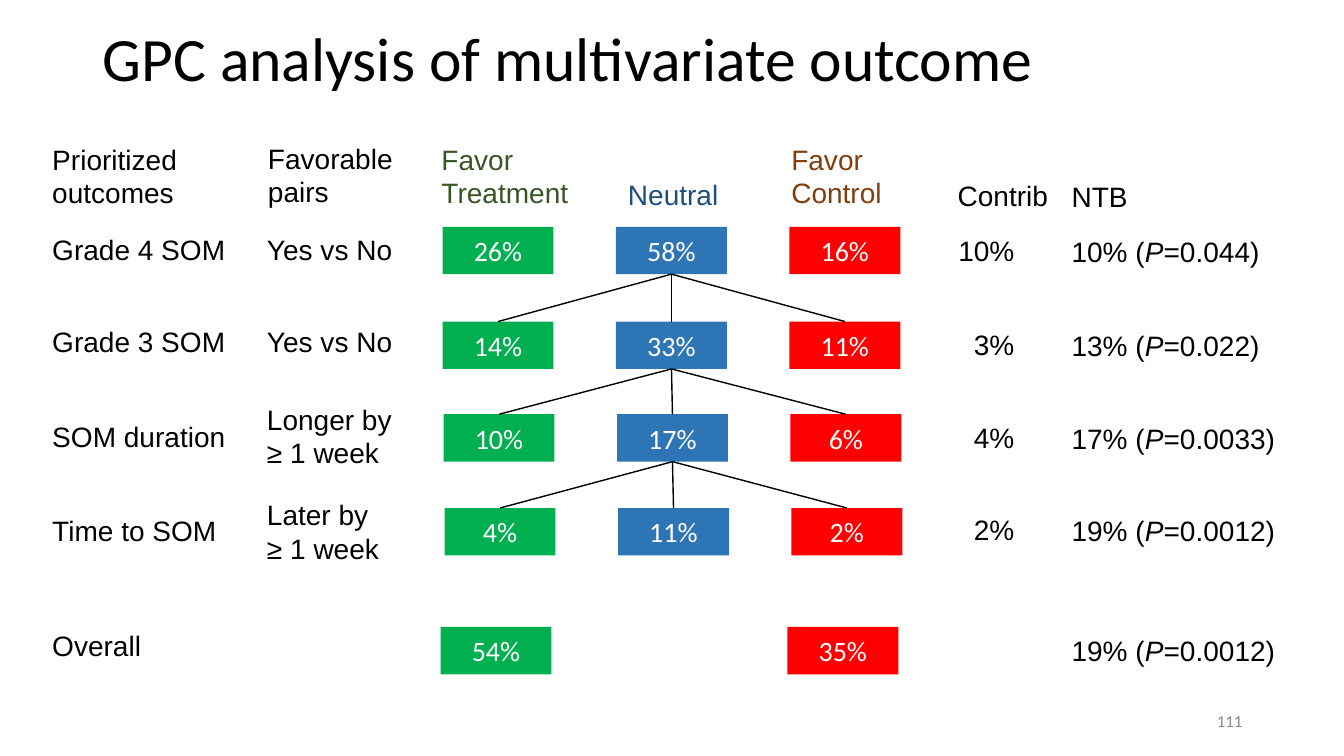
import pptx
import pptx.util
import pptx.dml.color
import pptx.enum.shapes
import pptx.enum.text
import pptx.oxml

RGBColor = pptx.dml.color.RGBColor
ALIGN = pptx.enum.text.PP_ALIGN
ANCHOR = pptx.enum.text.MSO_ANCHOR
BLACK = RGBColor(0x00, 0x00, 0x00)
WHITE = RGBColor(0xFF, 0xFF, 0xFF)
GRAY = RGBColor(0x88, 0x88, 0x88)
GREEN = RGBColor(0x00, 0xB0, 0x50)
BLUE = RGBColor(0x2E, 0x75, 0xB5)
RED = RGBColor(0xFF, 0x00, 0x00)
DARK_GREEN = RGBColor(0x38, 0x56, 0x23)
DARK_BLUE = RGBColor(0x1E, 0x4E, 0x79)
BROWN = RGBColor(0x83, 0x3C, 0x0B)
PX = 9144

deck = pptx.Presentation()
deck.slide_width = 1333 * PX
deck.slide_height = 750 * PX
slide = deck.slides.add_slide(deck.slide_layouts[6])


def write(text, left, top, width, height=44, fill=None, size=20, font="Arial",
          color=BLACK, align=ALIGN.LEFT, anchor=ANCHOR.TOP, spacing=None):
    place = [length * PX for length in (left, top, width, height)]
    if fill is None:
        box = slide.shapes.add_textbox(*place)
    else:
        box = slide.shapes.add_shape(pptx.enum.shapes.MSO_SHAPE.RECTANGLE, *place)
        box.shadow.inherit = False
        box.fill.solid()
        box.fill.fore_color.rgb = fill
        box.line.fill.background()
    frame = box.text_frame
    frame.word_wrap = True
    frame.vertical_anchor = anchor
    for number, line in enumerate(text.split("\n")):
        paragraph = frame.add_paragraph() if number else frame.paragraphs[0]
        paragraph.alignment = align
        paragraph.line_spacing = spacing
        for position, part in enumerate(line.split("*")):
            run = paragraph.add_run()
            run.text = part
            run.font.size = pptx.util.Pt(size)
            run.font.name = font
            run.font.color.rgb = color
            if position % 2:
                run.font.italic = True
    return box


write("GPC analysis of multivariate outcome", 92, 23, 1150, 145,
      size=44, font="Calibri", spacing=0.9)

headers = [
    ("Prioritized\noutcomes", 42, 136, 160, 77, BLACK),
    ("Favorable\npairs", 256, 135, 150, 77, BLACK),
    ("Favor\nTreatment", 428, 136, 152, 77, DARK_GREEN),
    ("Neutral", 613, 171, 120, 44, DARK_BLUE),
    ("Favor\nControl", 775, 136, 120, 77, BROWN),
    ("Contrib", 940, 172, 116, 44, BLACK),
    ("NTB", 1053, 173, 80, 44, BLACK),
]
for header, left, top, width, height, color in headers:
    write(header, left, top, width, height, color=color)

outcomes = [
    ("Grade 4 SOM", 226, "Yes vs No", 226, (439, 225),
     ("26%", "58%", "16%"), "10%", 227, "10% (*P*=0.044)"),
    ("Grade 3 SOM", 317, "Yes vs No", 317, (439, 319),
     ("14%", "33%", "11%"), "3%", 320, "13% (*P*=0.022)"),
    ("SOM duration", 411, "Longer by\n≥ 1 week", 394, (440, 411),
     ("10%", "17%", "6%"), "4%", 412, "17% (*P*=0.0033)"),
    ("Time to SOM", 505, "Later by\n≥ 1 week", 489, (441, 504),
     ("4%", "11%", "2%"), "2%", 504, "19% (*P*=0.0012)"),
    ("Overall", 619, "", 0, (437, 622),
     ("54%", "", "35%"), "", 623, "19% (*P*=0.0012)"),
]
parent_neutral = None
for outcome, outcome_top, pairs, pairs_top, corner, shares, contrib, result_top, benefit in outcomes:
    write(outcome, 42, outcome_top, 200)
    if pairs:
        write(pairs, 255, pairs_top, 160, 44 + 33 * pairs.count("\n"))
    if contrib:
        write(contrib, 940, result_top, 76, align=ALIGN.RIGHT)
    write(benefit, 1053, result_top + 1, 240)

    share_boxes = []
    for column, (share, fill) in enumerate(zip(shares, (GREEN, BLUE, RED))):
        if share:
            share_boxes.append(write(
                share, corner[0] + 172 * column, corner[1], 110, 47, fill=fill,
                font="Calibri", color=WHITE, align=ALIGN.CENTER, anchor=ANCHOR.MIDDLE))
    if len(share_boxes) < 3:
        continue
    if parent_neutral is not None:
        for share_box in share_boxes:
            branch = slide.shapes.add_connector(
                pptx.enum.shapes.MSO_CONNECTOR.STRAIGHT, 0, 0, 0, 0)
            branch.begin_connect(parent_neutral, 2)
            branch.end_connect(share_box, 0)
            branch.line.color.rgb = BLACK
            branch.line.width = pptx.util.Pt(1)
            properties = branch._element.spPr
            properties.append(pptx.oxml.parse_xml(
                '<a:effectLst xmlns:a="http://schemas.openxmlformats.org/drawingml/2006/main"/>'))
    parent_neutral = share_boxes[1]

write("111", 942, 695, 300, 40, size=12, font="Calibri", color=GRAY,
      align=ALIGN.RIGHT, anchor=ANCHOR.MIDDLE)

deck.save("out.pptx")
